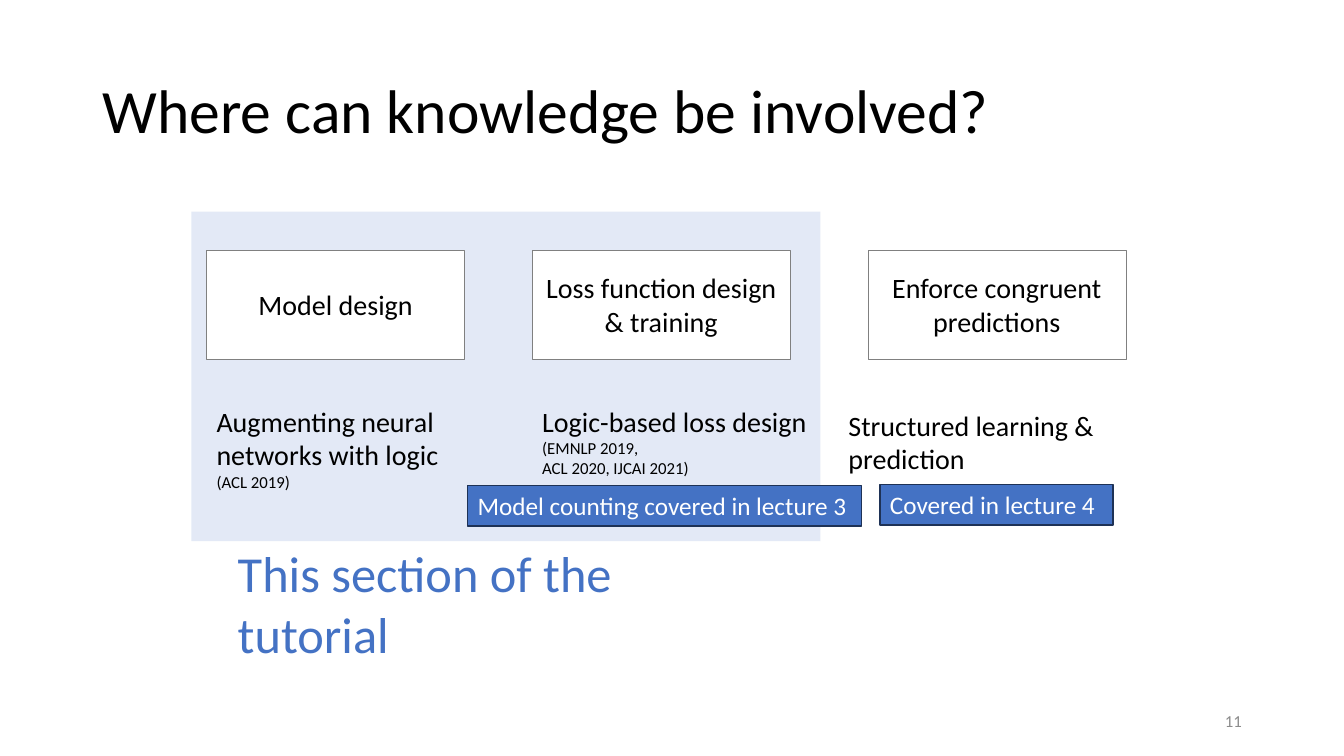
"""Builds the slide on where knowledge enters a learning pipeline."""
from lxml import etree
from pptx import Presentation
from pptx.dml.color import RGBColor
from pptx.enum.shapes import MSO_SHAPE
from pptx.enum.text import MSO_ANCHOR, PP_ALIGN
from pptx.oxml.ns import qn
from pptx.util import Pt

RECT = MSO_SHAPE.RECTANGLE
TOP, MIDDLE = MSO_ANCHOR.TOP, MSO_ANCHOR.MIDDLE
LEFT, CENTER, RIGHT = PP_ALIGN.LEFT, PP_ALIGN.CENTER, PP_ALIGN.RIGHT
COLORS = {
    "black": "000000",
    "white": "FFFFFF",
    "blue": "4472C4",
    "navy": "1E3256",
    "gray": "808080",
    "number": "8C8C8C",
}


def rgb(name):
    return RGBColor.from_string(COLORS[name])


def add_text(paragraphs, left, top, width, height, size=20, color="black", align=LEFT,
             anchor=TOP, fill=None, line=None, line_width=1, spacing=None):
    """Place paragraphs, each a list of (text, size) runs or a plain string."""
    place = Pt(left), Pt(top), Pt(width), Pt(height)
    if fill:
        box = slide.shapes.add_shape(RECT, *place)
        box.shadow.inherit = False
        box.fill.solid()
        box.fill.fore_color.rgb = rgb(fill)
        box.line.color.rgb = rgb(line)
        box.line.width = Pt(line_width)
    else:
        box = slide.shapes.add_textbox(*place)
    frame = box.text_frame
    frame.word_wrap = True
    frame.vertical_anchor = anchor
    if isinstance(paragraphs, str):
        paragraphs = [[(paragraphs, size)]]
    for index, runs in enumerate(paragraphs):
        paragraph = frame.add_paragraph() if index else frame.paragraphs[0]
        paragraph.alignment = align
        if spacing:
            paragraph.line_spacing = spacing
        for text, run_size in runs:
            run = paragraph.add_run()
            run.text = text
            run.font.name = "Calibri"
            run.font.size = Pt(run_size)
            run.font.color.rgb = rgb(color)


presentation = Presentation()
presentation.slide_width, presentation.slide_height = Pt(960), Pt(540)
slide = presentation.slides.add_slide(presentation.slide_layouts[6])

section_area = slide.shapes.add_shape(RECT, Pt(136.8), Pt(151.2), Pt(449.3), Pt(235.4))
section_area.shadow.inherit = False
section_area.line.fill.background()
section_area.fill.solid()
section_area.fill.fore_color.rgb = rgb("blue")
area_color = section_area.fill._xPr.find(qn("a:solidFill"))[0]
etree.SubElement(area_color, qn("a:alpha"), val="15000")

add_text("Where can knowledge be involved?", 66.2, 28.8, 828, 104.4,
         size=44, anchor=MIDDLE, spacing=0.9)

stages = [
    ("Model design", 147.6),
    ("Loss function design & training", 380.2),
    ("Enforce congruent predictions", 619.9),
]
for stage, left in stages:
    add_text(stage, left, 178.6, 184.3, 77.8, align=CENTER, anchor=MIDDLE,
             fill="white", line="gray", line_width=0.25)

approaches = [
    ([[("Augmenting neural networks with logic ", 20), ("(ACL 2019)", 12)]],
     147.6, 285.1, 172.8, 70.6),
    ([[("Logic-based loss design ", 20), ("(EMNLP 2019,", 12)],
      [("ACL 2020, IJCAI 2021)", 12)]], 380.2, 285.1, 206.6, 60.5),
    ("Structured learning & prediction", 599, 288, 241.9, 55.4),
]
for approach, *place in approaches:
    add_text(approach, *place)

add_text("This section of the tutorial", 162.7, 383.8, 389, 51, size=36, color="blue")
add_text("11", 678.2, 500.4, 216, 28.8, size=12, color="number",
         align=RIGHT, anchor=MIDDLE)

lecture_notes = [
    ("Covered in lecture 4", 628.6, 346.3, 166.3),
    ("Model counting covered in lecture 3", 334.1, 347, 281.5),
]
for note, left, top, width in lecture_notes:
    add_text(note, left, top, width, 28.8, size=18, color="white", fill="blue", line="navy")

presentation.save("out.pptx")
